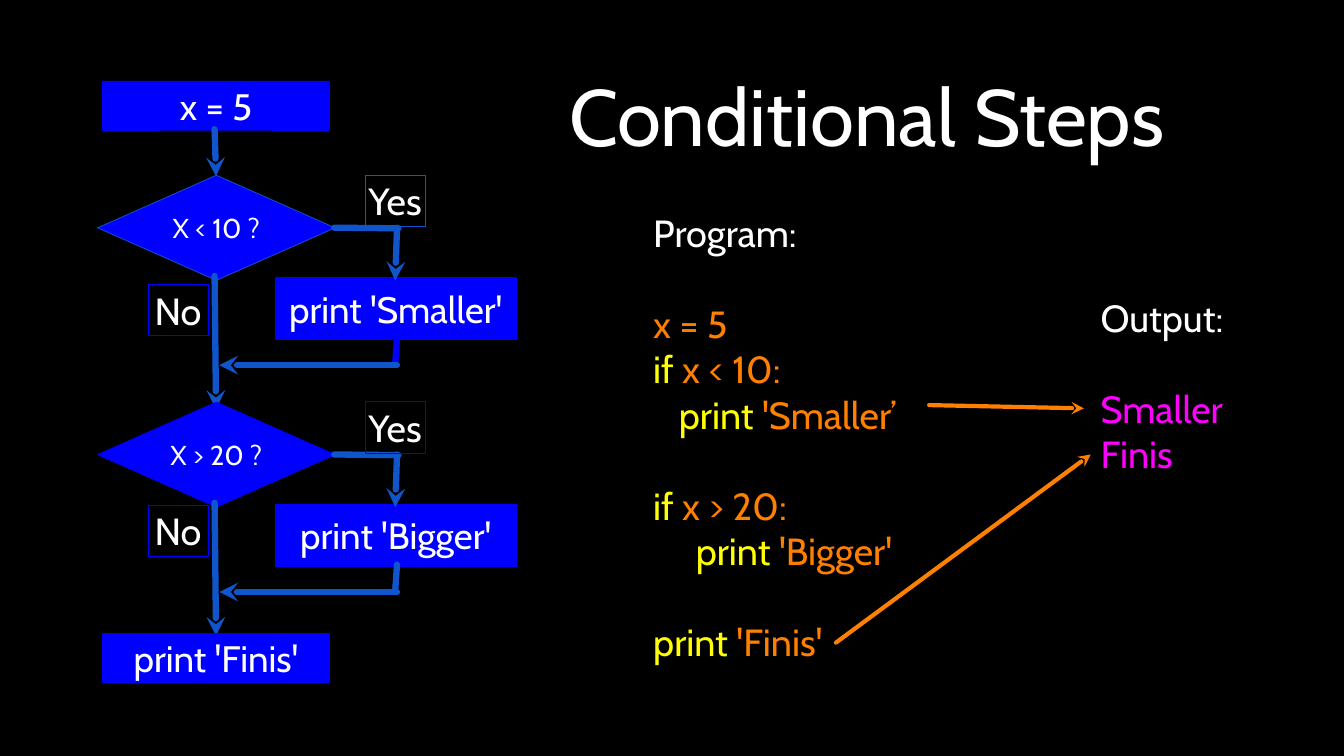
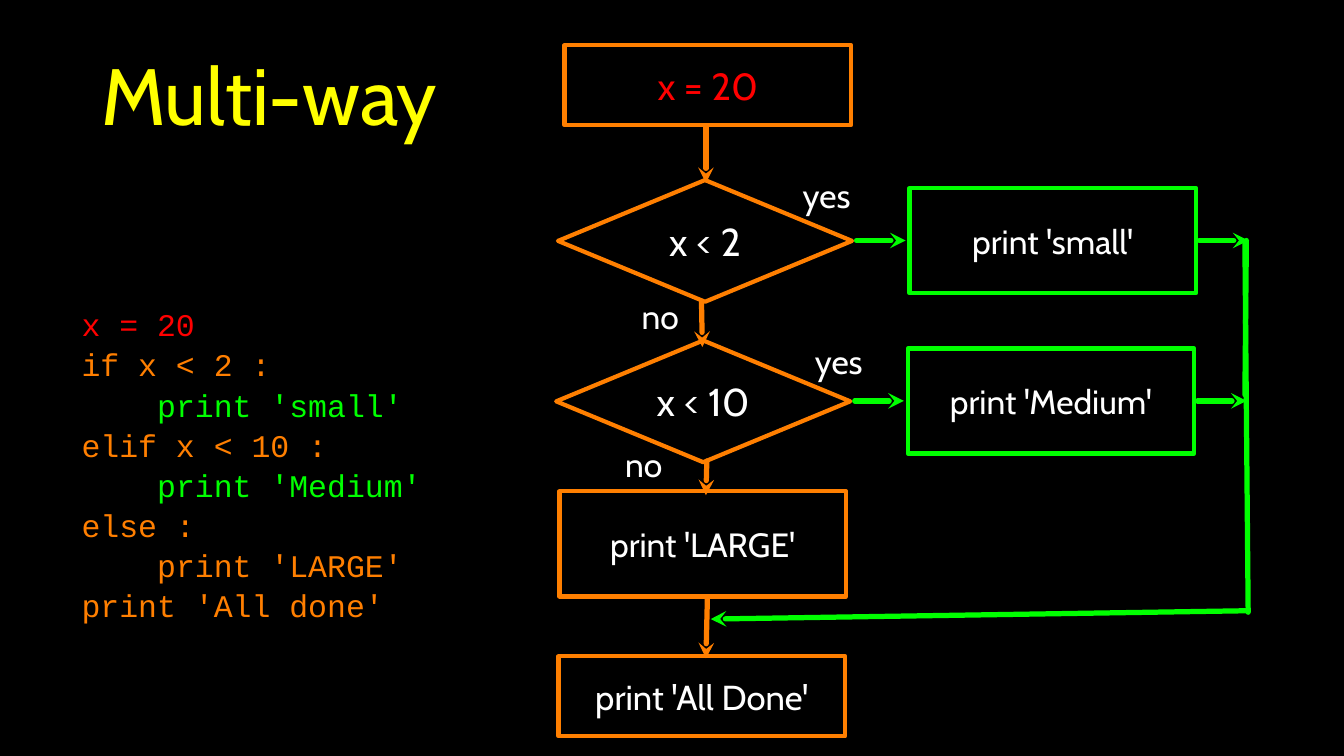
import pptx
import pptx.dml.color
import pptx.enum.shapes
import pptx.enum.text
import pptx.oxml
import pptx.util
from lxml import etree

Cm, Pt = pptx.util.Cm, pptx.util.Pt
RGBColor = pptx.dml.color.RGBColor
Shape = pptx.enum.shapes.MSO_SHAPE
Align = pptx.enum.text.PP_ALIGN

# Colours and fonts
BLACK = RGBColor(0x00, 0x00, 0x00)
WHITE = RGBColor(0xFF, 0xFF, 0xFF)
BLUE = RGBColor(0x00, 0x00, 0xFF)
ARROW_BLUE = RGBColor(0x11, 0x55, 0xCC)
ORANGE = RGBColor(0xFF, 0x7F, 0x00)
YELLOW = RGBColor(0xFF, 0xFF, 0x00)
MAGENTA = RGBColor(0xFF, 0x00, 0xFF)
GREEN = RGBColor(0x00, 0xFF, 0x00)
RED = RGBColor(0xFF, 0x00, 0x00)
BODY_FONT = "Cabin"
CODE_FONT = "Courier New"
BLANK_LINE = 43.5  # points, one skipped line of 36 pt text


def write_text(frame, lines, size=36, font=BODY_FONT, align=Align.LEFT,
               spacing=None, inset=0):
    """Each line is (runs, indent in cm, space before in pt); a run is (text, colour)."""
    frame.word_wrap = True
    frame.vertical_anchor = pptx.enum.text.MSO_ANCHOR.MIDDLE
    frame.margin_left = frame.margin_right = Cm(inset)
    frame.margin_top = frame.margin_bottom = Cm(inset)
    for index, (runs, indent, before) in enumerate(lines):
        paragraph = frame.add_paragraph() if index else frame.paragraphs[0]
        paragraph.alignment = align
        if spacing:
            paragraph.line_spacing = spacing
        if before:
            paragraph.space_before = Pt(before)
        if indent:
            paragraph._p.get_or_add_pPr().set("marL", str(Cm(indent)))
        for text, color in runs:
            run = paragraph.add_run()
            run.text = text
            run.font.name = font
            run.font.size = Pt(size)
            run.font.color.rgb = color


def line(*runs, indent=0, before=0):
    return runs, indent, before


class Deck:
    """Holds the style and the current slide; positions are in cm."""

    def __init__(self):
        self.file = pptx.Presentation()
        self.file.slide_width = Cm(45.16)
        self.file.slide_height = Cm(25.4)
        self.slide = None

    def new_slide(self):
        self.slide = self.file.slides.add_slide(self.file.slide_layouts[6])
        background = self.slide.background.fill
        background.solid()
        background.fore_color.rgb = BLACK

    def text(self, box, lines, **style):
        area = self.slide.shapes.add_textbox(*map(Cm, box))
        write_text(area.text_frame, lines, **style)

    def title(self, box, words, color):
        self.text(box, [line((words, color))], size=76, align=Align.CENTER, inset=0.1)

    def label(self, box, words):
        self.text(box, [line((words, WHITE))], size=32, align=Align.CENTER)

    def node(self, box, words, kind=Shape.RECTANGLE, fill=None, border=BLUE,
             width=0.75, size=35, color=WHITE):
        shape = self.slide.shapes.add_shape(kind, *map(Cm, box))
        shape.shadow.inherit = False
        if fill is None:
            shape.fill.background()
        else:
            shape.fill.solid()
            shape.fill.fore_color.rgb = fill
        shape.line.color.rgb = border
        shape.line.width = Pt(width)
        write_text(shape.text_frame, [line((words, color))], size=size, align=Align.CENTER)

    def connect(self, start, end, color, width, arrow=True):
        link = self.slide.shapes.add_connector(
            pptx.enum.shapes.MSO_CONNECTOR.STRAIGHT, *map(Cm, start + end))
        link.line.color.rgb = color
        link.line.width = Pt(width)
        outline = link.line._get_or_add_ln()
        outline.set("cap", "rnd")
        if arrow:
            tip = etree.SubElement(outline, pptx.oxml.ns.qn("a:tailEnd"))
            tip.set("type", "stealth")
        etree.SubElement(link._element.spPr, pptx.oxml.ns.qn("a:effectLst"))


deck = Deck()

# Slide 1: conditional steps
deck.new_slide()
deck.title((16.33, 0.66, 25.58, 6.38), "Conditional Steps", WHITE)

# Program and its output
deck.text((36.98, 9.91, 4.39, 6.07), [
    line(("Output:", WHITE)),
    line(("Smaller", MAGENTA), before=BLANK_LINE),
    line(("Finis", MAGENTA)),
])
deck.text((21.95, 6.99, 8.8, 15.39), [
    line(("Program:", WHITE)),
    line(("x = 5", ORANGE), before=BLANK_LINE),
    line(("if", YELLOW), (" x < 10:", ORANGE)),
    line(("print", YELLOW), (" 'Smaller\u2019", ORANGE), indent=0.86),
    line(("if", YELLOW), (" x > 20:", ORANGE), before=BLANK_LINE),
    line(("print", YELLOW), (" 'Bigger'", ORANGE), indent=1.43),
    line(("print", YELLOW), (" 'Finis'", ORANGE), before=BLANK_LINE),
])
deck.connect((31.22, 13.61), (36.42, 13.72), ORANGE, 4)
deck.connect((28.09, 21.59), (36.65, 15.27), ORANGE, 4)

# Flowchart: start, two tests of the same form, end
deck.node((3.45, 2.72, 7.62, 1.65), "x = 5", fill=BLUE)
deck.connect((7.21, 4.34), (7.26, 5.92), ARROW_BLUE, 6)

STEP = 7.62
tests = [
    ("X < 10 ?", "print 'Smaller'", ARROW_BLUE, BLUE, 9.55),
    ("X > 20 ?", "print 'Bigger'", BLUE, ARROW_BLUE, 16.97),
]
for number, (question, action, border, exit_color, no_top) in enumerate(tests):
    drop = number * STEP
    deck.node((3.28, 5.89 + drop, 7.98, 3.53), question, Shape.DIAMOND,
              fill=BLUE, border=border, size=26)
    deck.connect((7.21, 9.27 + drop), (7.26, 13.74 + drop), ARROW_BLUE, 6)
    deck.node((9.25, 9.32 + drop, 8.1, 2.08), action, fill=BLUE)
    deck.connect((11.23, 7.65 + drop), (13.39, 7.67 + drop), ARROW_BLUE, 6, arrow=False)
    deck.connect((13.34, 7.65 + drop), (13.28, 9.42 + drop), ARROW_BLUE, 6)
    deck.connect((13.34, 11.35 + drop), (13.28, 12.22 + drop), exit_color, 6, arrow=False)
    deck.connect((13.34, 12.27 + drop), (7.37, 12.27 + drop), ARROW_BLUE, 6)
    deck.node((12.27, 5.88 + drop, 2.01, 1.73), "Yes", border=border, size=36)
    deck.node((4.98, no_top, 2.01, 1.73), "No", size=36)

deck.node((3.45, 21.29, 7.62, 1.65), "print 'Finis'", fill=BLUE)

# Slide 2: multi-way branch
deck.new_slide()
deck.title((1.55, 0.84, 14.99, 4.6), "Multi-way", YELLOW)

# Program
TAB = 2.54
deck.text((2.74, 8.51, 14.02, 14.12), [
    line(("x = 20", RED)),
    line(("if x < 2 :", ORANGE)),
    line(("print 'small'", GREEN), indent=TAB),
    line(("elif x < 10 :", ORANGE)),
    line(("print 'Medium'", GREEN), indent=TAB),
    line(("else :", ORANGE)),
    line(("print 'LARGE'", ORANGE), indent=TAB),
    line(("print 'All done'", ORANGE)),
], size=30, font=CODE_FONT, spacing=1.06)

# Main column: left, top, height, words, size, colour
steps = [
    (18.97, 1.52, 2.69, "x = 20", 36, RED),
    (18.8, 16.51, 3.53, "print 'LARGE'", 32, WHITE),
    (18.77, 22.05, 2.69, "print 'All Done'", 33, WHITE),
]
for left, top, height, words, size, color in steps:
    deck.node((left, top, 9.63, height), words, border=ORANGE, width=4,
              size=size, color=color)

# Branches: question, action, left shift, drop, corners of the labels
branches = [
    ("x < 2", "print 'small'", 0, 0, (26.9, 5.77), (21.44, 9.86)),
    ("x < 10", "print 'Medium'", -0.06, 5.39, (27.31, 11.35), (20.88, 14.81)),
]
for question, action, shift, drop, yes_corner, no_corner in branches:
    deck.node((18.75 + shift, 6.05 + drop, 9.88, 4.09), question, Shape.DIAMOND,
              border=ORANGE, width=4, size=37)
    deck.node((30.56 + shift, 6.32 + drop, 9.63, 3.53), action, border=GREEN,
              width=4, size=32)
    for left in (28.78, 40.3):
        deck.connect((left + shift, 8.08 + drop), (left + shift + 1.65, 8.08 + drop),
                     GREEN, 5)
    deck.label(yes_corner + (1.75, 1.55), "yes")
    deck.label(no_corner + (1.5, 1.55), "no")

# Arrows down the main column
for start, end in [
    ((23.72, 4.24), (23.72, 6.15)),
    ((23.57, 10.11), (23.6, 11.66)),
    ((23.75, 15.49), (23.72, 16.64)),
    ((23.77, 20.07), (23.72, 22.12)),
]:
    deck.connect(start, end, ORANGE, 5)

# Return path on the right
deck.connect((41.83, 8.13), (41.94, 20.57), GREEN, 5, arrow=False)
deck.connect((41.88, 8.08), (41.83, 13.26), GREEN, 5, arrow=False)
deck.connect((41.88, 20.52), (23.88, 20.8), GREEN, 5)

deck.file.save("out.pptx")
